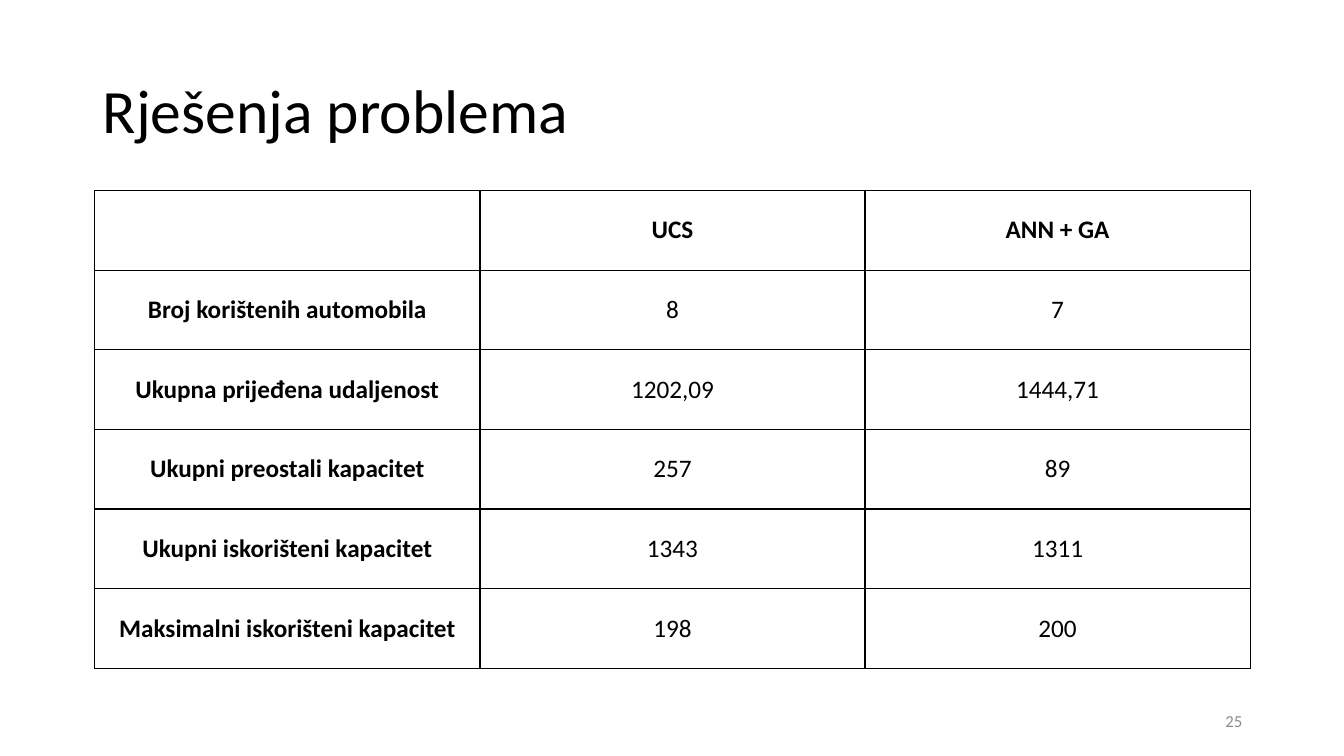
from lxml.etree import SubElement
from pptx import Presentation
from pptx.dml.color import RGBColor
from pptx.enum.text import MSO_ANCHOR as Anchor, PP_ALIGN as Align
from pptx.oxml.ns import qn
from pptx.util import Inches, Pt

COLORS = {"text": "000000", "border": "000000", "cell": "FFFFFF", "number": "8C8C8C"}
FONT = "Calibri"
COLUMN_WIDTH, ROW_HEIGHT = 3.82, 0.79
RESULTS = [
    ("", "UCS", "ANN + GA"),
    ("Broj korištenih automobila", "8", "7"),
    ("Ukupna prijeđena udaljenost", "1202,09", "1444,71"),
    ("Ukupni preostali kapacitet", "257", "89"),
    ("Ukupni iskorišteni kapacitet", "1343", "1311"),
    ("Maksimalni iskorišteni kapacitet", "198", "200"),
]


def write_text(text_frame, text, size, align, color="text", bold=False):
    text_frame.text = text
    text_frame.word_wrap = True
    text_frame.vertical_anchor = Anchor.MIDDLE
    paragraph = text_frame.paragraphs[0]
    paragraph.alignment = align
    for run in paragraph.runs:
        run.font.name = FONT
        run.font.size = Pt(size)
        run.font.bold = bold
        run.font.color.rgb = RGBColor.from_string(COLORS[color])
    return paragraph


def add_title(slide, text):
    title = slide.shapes.title
    title.left, title.top = Inches(0.92), Inches(0.4)
    title.width, title.height = Inches(11.5), Inches(1.45)
    write_text(title.text_frame, text, 44, Align.LEFT).line_spacing = 0.9


def style_cell(cell):
    # Borders come before the fill in the cell properties
    properties = cell._tc.get_or_add_tcPr()
    for side in ("lnL", "lnR", "lnT", "lnB"):
        line = SubElement(properties, qn(f"a:{side}"), w=str(Pt(1)))
        fill = SubElement(line, qn("a:solidFill"))
        SubElement(fill, qn("a:srgbClr"), val=COLORS["border"])
    cell.fill.solid()
    cell.fill.fore_color.rgb = RGBColor.from_string(COLORS["cell"])
    cell.vertical_anchor = Anchor.MIDDLE


def add_results_table(slide, rows, left, top):
    row_count, column_count = len(rows), len(rows[0])
    table = slide.shapes.add_table(
        row_count, column_count, Inches(left), Inches(top),
        Inches(COLUMN_WIDTH * column_count), Inches(ROW_HEIGHT * row_count)).table
    for row_index, row in enumerate(rows):
        for column_index, text in enumerate(row):
            cell = table.cell(row_index, column_index)
            is_heading = row_index == 0 or column_index == 0
            write_text(cell.text_frame, text, 18, Align.CENTER, bold=is_heading)
            style_cell(cell)


def add_slide_number(slide, number):
    box = slide.shapes.add_textbox(Inches(9.42), Inches(6.95), Inches(3), Inches(0.4))
    write_text(box.text_frame, number, 12, Align.RIGHT, "number")


def main():
    presentation = Presentation()
    presentation.slide_width, presentation.slide_height = Inches(13.33), Inches(7.5)
    title_only = presentation.slide_layouts[5]
    slide = presentation.slides.add_slide(title_only)

    add_title(slide, "Rješenja problema")
    add_results_table(slide, RESULTS, 0.94, 1.89)
    add_slide_number(slide, "25")
    presentation.save("out.pptx")


if __name__ == "__main__":
    main()
